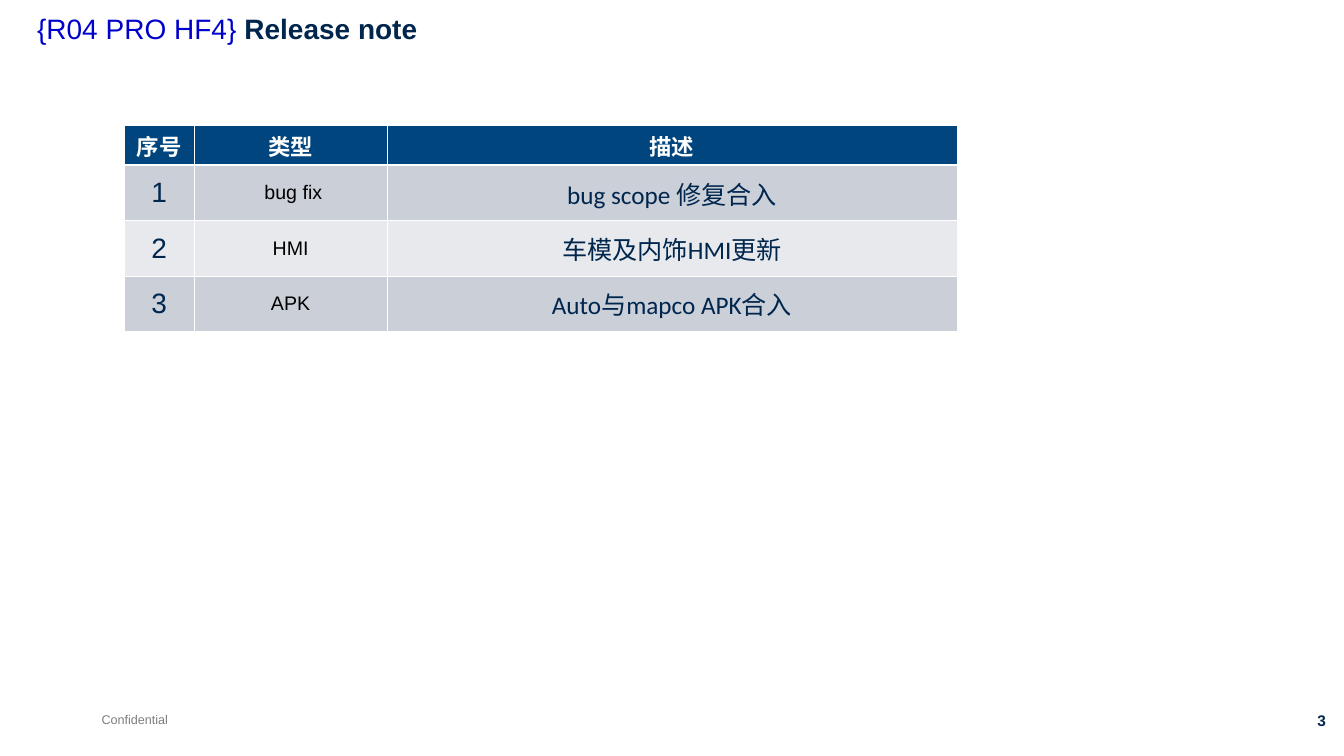
from lxml import etree
from pptx import Presentation
from pptx.dml.color import RGBColor
from pptx.enum.text import MSO_ANCHOR as Anchor, PP_ALIGN as Align
from pptx.oxml.ns import qn
from pptx.util import Inches, Pt

NAVY = RGBColor(0x00, 0x26, 0x4E)
BLUE = RGBColor(0x00, 0x00, 0xCC)
HEAD = RGBColor(0x00, 0x45, 0x7E)
DARK = RGBColor(0xCB, 0xCF, 0xD8)
LIGHT = RGBColor(0xE7, 0xE9, 0xEC)
GREY = RGBColor(0x7F, 0x7F, 0x7F)
BLACK = RGBColor(0, 0, 0)
WHITE = RGBColor(255, 255, 255)

THIN, THICK = 0.45, 1.47
WIDTHS = [0.7, 1.91, 5.66]
HEIGHTS = [0.4, 0.55, 0.55, 0.55]
TITLES = ["序号", "类型", "描述"]
NOTES = [
    ["1", " bug fix", "bug scope 修复合入"],
    ["2", "HMI", "车模及内饰HMI更新"],
    ["3", "APK", "Auto与mapco APK合入"],
]
STYLES = [
    dict(size=20, color=NAVY),
    dict(size=14, color=BLACK),
    dict(size=18, color=NAVY, font="Calibri"),
]
INSETS = [0.1, 0.01, 0.07]


def write(para, text, size=20, color=NAVY, font="Arial", bold=False):
    run = para.add_run()
    run.text = text
    run.font.size = Pt(size)
    run.font.name = font
    run.font.bold = bold
    run.font.color.rgb = color


def add_box(slide, left, top, width, height, wrap=False, align=Align.LEFT):
    """Add an empty text box and return its first paragraph."""
    box = slide.shapes.add_textbox(
        Inches(left), Inches(top), Inches(width), Inches(height))
    box.text_frame.word_wrap = wrap
    para = box.text_frame.paragraphs[0]
    para.alignment = align
    return para


def set_edges(cell, **widths):
    """Draw white cell borders; widths are points by side L, R, T, B."""
    props = cell._tc.get_or_add_tcPr()
    for side, width in widths.items():
        line = etree.SubElement(props, qn(f"a:ln{side}"), w=str(Pt(width)))
        fill = etree.SubElement(line, qn("a:solidFill"))
        etree.SubElement(fill, qn("a:srgbClr"), val=str(WHITE))


def fill_cell(cell, text, fill, inset=0.1, anchor=Anchor.MIDDLE,
              top=THIN, bottom=THIN, **style):
    set_edges(cell, L=THIN, R=THIN, T=top, B=bottom)
    cell.fill.solid()
    cell.fill.fore_color.rgb = fill
    cell.margin_left = cell.margin_right = Inches(inset)
    cell.vertical_anchor = anchor
    para = cell.text_frame.paragraphs[0]
    para.alignment = Align.CENTER
    write(para, text, **style)


def add_notes(slide):
    table = slide.shapes.add_table(
        len(HEIGHTS), len(WIDTHS), Inches(1.23), Inches(1.24),
        Inches(sum(WIDTHS)), Inches(sum(HEIGHTS))).table
    for col, width in zip(table.columns, WIDTHS):
        col.width = Inches(width)
    for row, height in zip(table.rows, HEIGHTS):
        row.height = Inches(height)
    for col, text in enumerate(TITLES):
        fill_cell(table.cell(0, col), text, HEAD, anchor=Anchor.TOP,
                  bottom=THICK, size=16, color=WHITE, bold=True)
    for row, note in enumerate(NOTES, 1):
        for col, text in enumerate(note):
            fill_cell(table.cell(row, col), text, DARK if row % 2 else LIGHT,
                      inset=INSETS[col], top=THICK if row == 1 else THIN,
                      **STYLES[col])


def main():
    deck = Presentation()
    deck.slide_width, deck.slide_height = Inches(13.34), Inches(7.5)
    slide = deck.slides.add_slide(deck.slide_layouts[6])

    write(add_box(slide, 0.91, 7.01, 0.86, 0.25), "Confidential",
          size=9, color=GREY)
    write(add_box(slide, 12.32, 7.01, 0.94, 0.29, align=Align.RIGHT), "3",
          size=11, bold=True)
    title = add_box(slide, 0.27, 0.1, 11.85, 0.63, wrap=True)
    title.line_spacing = 0.9
    write(title, "{R04 PRO HF4} ", color=BLUE)
    write(title, "Release note", bold=True)
    add_notes(slide)
    deck.save("out.pptx")


if __name__ == "__main__":
    main()
